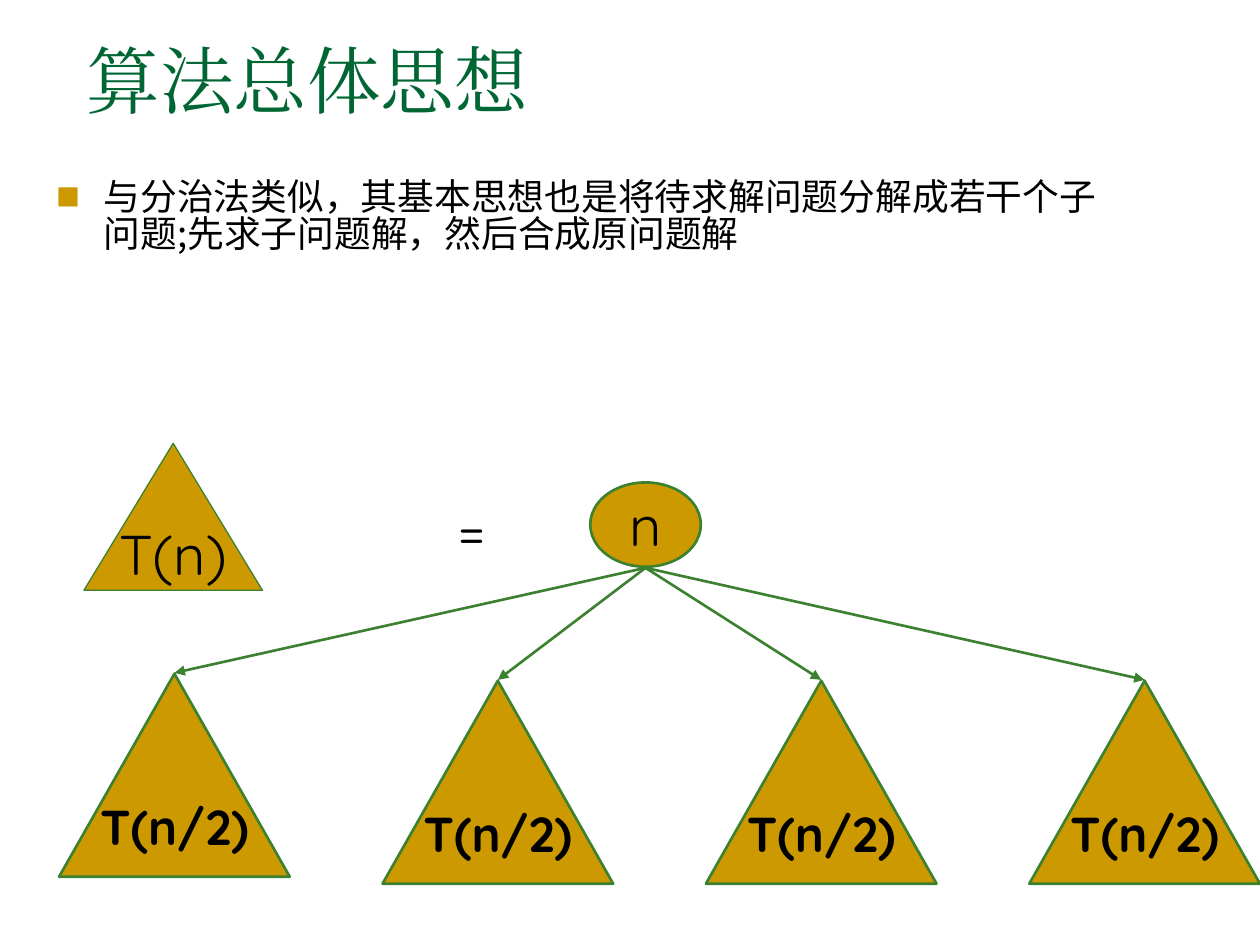
from dataclasses import dataclass

from lxml import etree
from pptx import Presentation
from pptx.dml.color import RGBColor
from pptx.enum.shapes import MSO_CONNECTOR, MSO_SHAPE
from pptx.enum.text import MSO_ANCHOR, PP_ALIGN
from pptx.oxml.ns import qn
from pptx.util import Pt

STRAIGHT = MSO_CONNECTOR.STRAIGHT
TRIANGLE, ELLIPSE = MSO_SHAPE.ISOSCELES_TRIANGLE, MSO_SHAPE.OVAL
TOP, MIDDLE = MSO_ANCHOR.TOP, MSO_ANCHOR.MIDDLE
LEFT, CENTER = PP_ALIGN.LEFT, PP_ALIGN.CENTER


@dataclass(frozen=True)
class Theme:
    title: str = "006633"
    text: str = "000000"
    fill: str = "CC9900"
    line: str = "3B812F"
    title_font: str = "Times New Roman"
    body_font: str = "Noto Sans CJK SC"
    node_font: str = "Quicksand"
    title_size: float = 42
    body_size: float = 21
    node_size: float = 32
    child_size: float = 28
    thin: float = 0.75
    thick: float = 1.5


THEME = Theme()


@dataclass(frozen=True)
class Box:
    left: float
    top: float
    width: float
    height: float

    def lengths(self) -> tuple:
        return Pt(self.left), Pt(self.top), Pt(self.width), Pt(self.height)


@dataclass(frozen=True)
class Style:
    font: str
    size: float
    color: str = THEME.text
    bold: bool = False


@dataclass(frozen=True)
class Node:
    kind: int
    box: Box
    label: str
    style: Style
    line_width: float = THEME.thick


def write(frame, text: str, style: Style, align=LEFT, anchor=TOP, wrap=True):
    frame.word_wrap = wrap
    frame.vertical_anchor = anchor
    para = frame.paragraphs[0]
    para.alignment = align
    span = para.add_run()
    span.text = text
    font = span.font
    font.name, font.size, font.bold = style.font, Pt(style.size), style.bold
    font.color.rgb = RGBColor.from_string(style.color)
    # East Asian glyphs take their own font entry
    latin = span._r.get_or_add_rPr().find(qn("a:latin"))
    east_asian = etree.Element(qn("a:ea"), typeface=style.font)
    latin.addnext(east_asian)
    return para


def add_text(slide, box: Box, text: str, style: Style, align=LEFT, anchor=TOP):
    frame = slide.shapes.add_textbox(*box.lengths()).text_frame
    return write(frame, text, style, align, anchor)


def add_bullet(para, indent: float) -> None:
    props = para._p.get_or_add_pPr()
    props.set("marL", str(Pt(indent)))
    props.set("indent", str(-Pt(indent)))
    color = etree.SubElement(props, qn("a:buClr"))
    etree.SubElement(color, qn("a:srgbClr"), val=THEME.fill)
    etree.SubElement(props, qn("a:buSzPct"), val="65000")
    etree.SubElement(props, qn("a:buFont"), typeface=THEME.body_font)
    etree.SubElement(props, qn("a:buChar"), char="■")


def add_node(slide, node: Node) -> None:
    shape = slide.shapes.add_shape(node.kind, *node.box.lengths())
    shape.shadow.inherit = False
    shape.fill.solid()
    shape.fill.fore_color.rgb = RGBColor.from_string(THEME.fill)
    shape.line.color.rgb = RGBColor.from_string(THEME.line)
    shape.line.width = Pt(node.line_width)
    write(shape.text_frame, node.label, node.style, CENTER, MIDDLE, wrap=False)


def add_arrow(slide, start: tuple[float, float], end: tuple[float, float]) -> None:
    points = [Pt(value) for value in (*start, *end)]
    arrow = slide.shapes.add_connector(STRAIGHT, *points)
    arrow.line.color.rgb = RGBColor.from_string(THEME.line)
    arrow.line.width = Pt(THEME.thick)
    etree.SubElement(arrow.line._get_or_add_ln(), qn("a:tailEnd"), type="triangle")
    etree.SubElement(arrow._element.spPr, qn("a:effectLst"))


def main() -> None:
    deck = Presentation()
    deck.slide_width, deck.slide_height = Pt(720), Pt(540)
    page = deck.slides.add_slide(deck.slide_layouts[6])

    # Body and title
    body = add_text(
        page, Box(25.2, 100, 612, 324),
        "与分治法类似，其基本思想也是将待求解问题分解成若干个子问题;先求子问题解，然后合成原问题解",
        Style(THEME.body_font, THEME.body_size))
    body.line_spacing = 0.83
    add_bullet(body, 27)
    add_text(page, Box(42.5, 0, 612, 90), "算法总体思想",
             Style(THEME.title_font, THEME.title_size, THEME.title), anchor=MIDDLE)

    # Root of the recursion tree
    node_style = Style(THEME.node_font, THEME.node_size)
    root = Box(337.3, 275.7, 63.2, 48.2)
    add_node(page, Node(ELLIPSE, root, "n", node_style))

    # Four subproblems, the first one slightly higher, each with its arrow
    child_style = Style(THEME.node_font, THEME.child_size, bold=True)
    arrow_start = (root.left + root.width / 2, 324.5)
    for index, top in enumerate((385, 389, 389, 389)):
        child = Box(33.8 + 184.8 * index, top, 131.8, 116)
        apex = (child.left + child.width / 2, top - 0.5)
        add_arrow(page, arrow_start, apex)
        add_node(page, Node(TRIANGLE, child, "T(n/2)", child_style))

    # Left side of the equation
    add_node(page, Node(TRIANGLE, Box(48, 253.3, 102, 84), "T(n)",
                        node_style, THEME.thin))
    add_text(page, Box(228, 279.3, 84, 45), "=", node_style, CENTER)

    deck.save("out.pptx")


if __name__ == "__main__":
    main()
